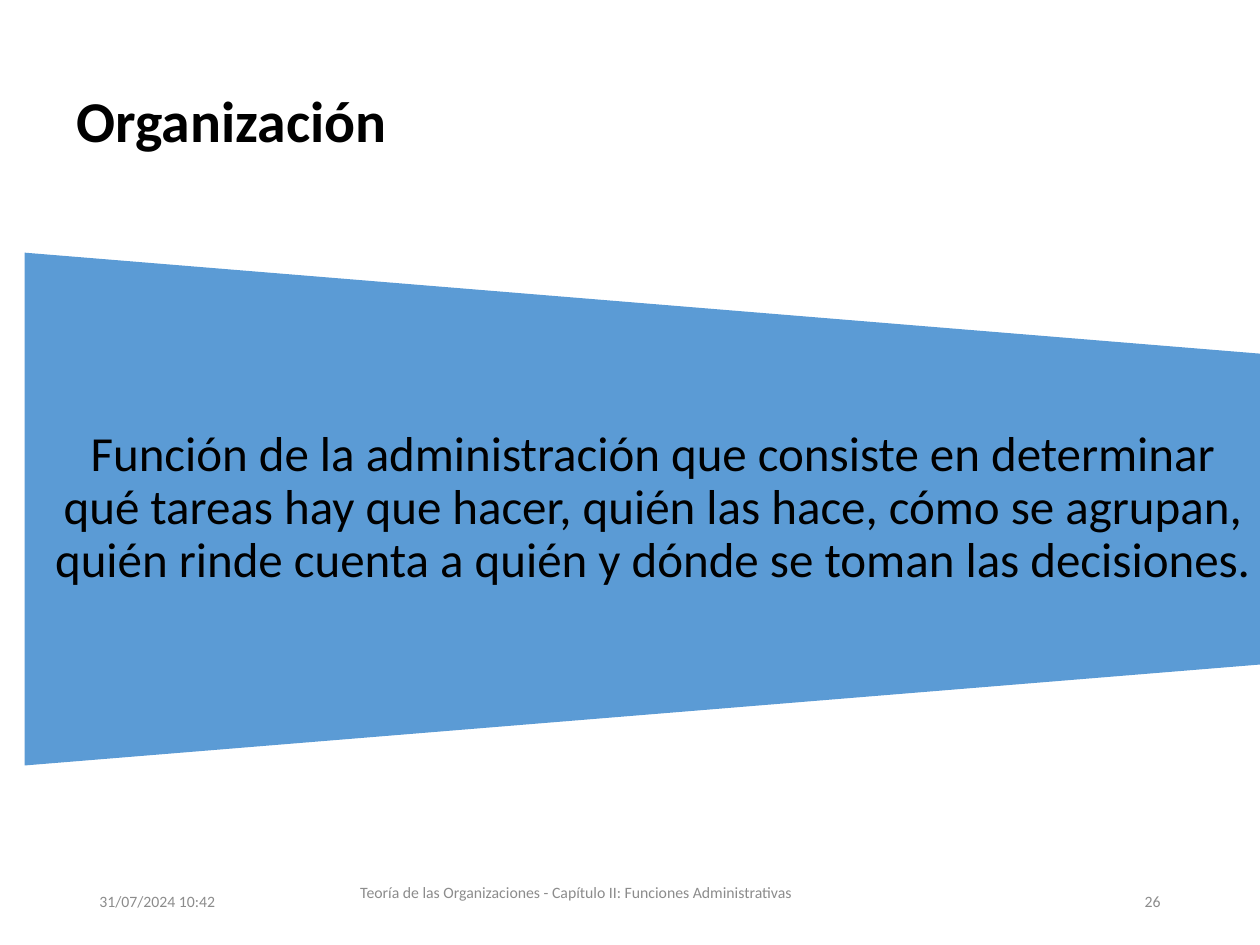
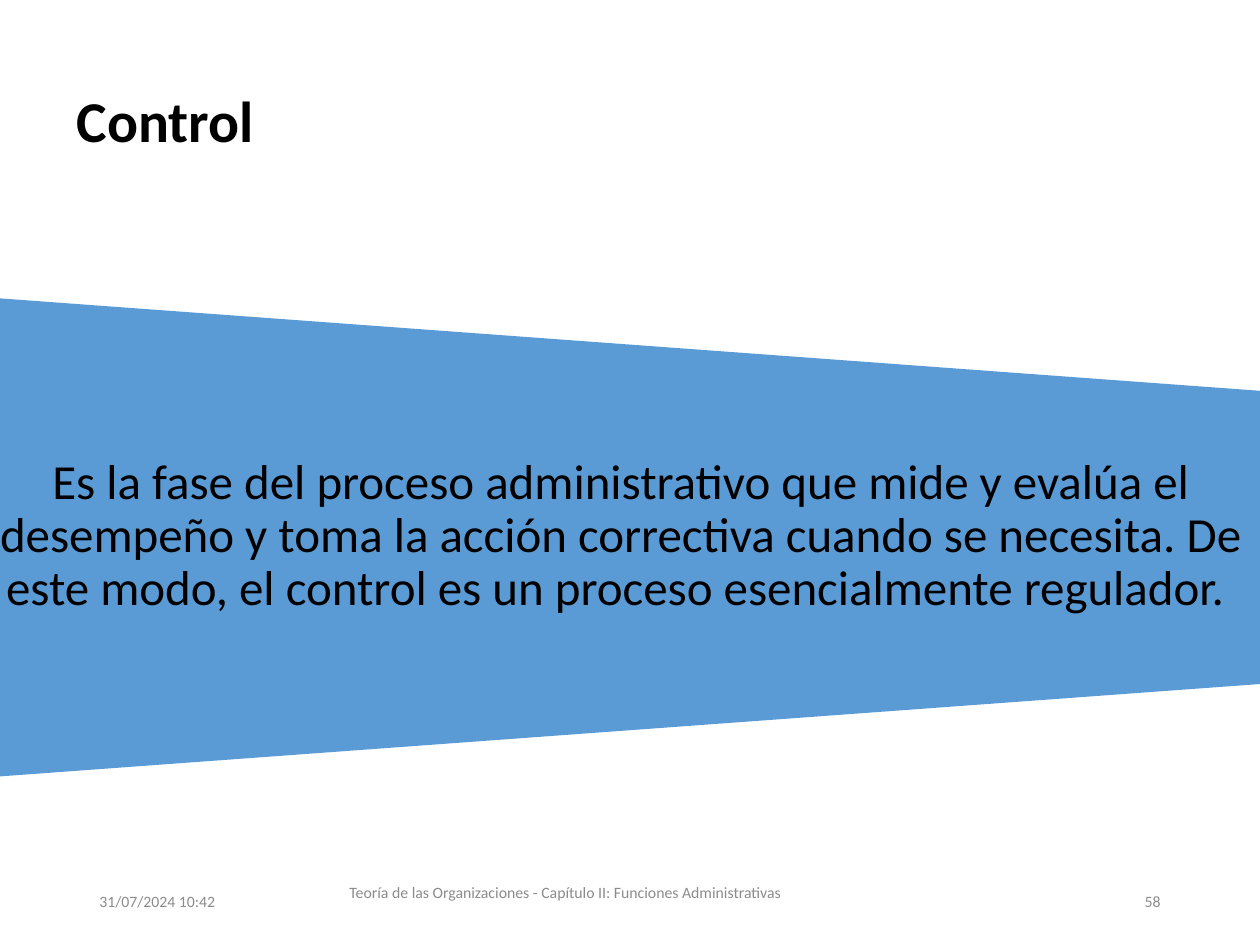
"""Build two definition slides on management functions."""
from dataclasses import dataclass

from pptx import Presentation
from pptx.dml.color import RGBColor
from pptx.enum.shapes import MSO_SHAPE
from pptx.enum.text import MSO_ANCHOR, PP_ALIGN
from pptx.slide import Slide
from pptx.util import Emu, Pt

BLACK = RGBColor(0x00, 0x00, 0x00)
GRAY = RGBColor(0x8C, 0x8C, 0x8C)
BLUE = RGBColor(0x5B, 0x9B, 0xD5)
LEFT, CENTER, RIGHT = PP_ALIGN.LEFT, PP_ALIGN.CENTER, PP_ALIGN.RIGHT
MIDDLE = MSO_ANCHOR.MIDDLE
FUNNEL = MSO_SHAPE.FLOWCHART_MANUAL_OPERATION
FONT = "Calibri"
SCALE = 9144
BLANK = 6
DATE = "31/07/2024 10:42"
COURSE = "Teoría de las Organizaciones - Capítulo II: Funciones Administrativas"


@dataclass(frozen=True)
class Box:
    """Hold a place on the slide in px."""
    left: int
    top: int
    width: int
    height: int

    def emu(self) -> tuple[Emu, Emu, Emu, Emu]:
        """Return the place in EMU."""
        return px(self.left), px(self.top), px(self.width), px(self.height)


@dataclass(frozen=True)
class Style:
    """Describe the look of a text."""
    size: int
    color: RGBColor
    align: PP_ALIGN = LEFT
    bold: bool = False
    line: float = 1.0
    side: int = 10
    edge: int = 5


@dataclass(frozen=True)
class Page:
    """Hold what differs from slide to slide."""
    title: str
    body: str
    number: str
    band: Box
    course: Box


TITLE = Style(33, BLACK, bold=True, line=0.9)
BODY = Style(28, BLACK, CENTER, line=0.9, side=19, edge=0)
NOTE = Style(9, GRAY)
NOTE_MID = Style(9, GRAY, CENTER)
NOTE_END = Style(9, GRAY, RIGHT)

TITLE_BOX = Box(51, 36, 900, 125)
DATE_BOX = Box(69, 695, 225, 40)
PAGE_BOX = Box(706, 695, 225, 40)

PAGES = (
    Page(
        "Organización",
        "Función de la administración que consiste en determinar qué tareas "
        "hay que hacer, quién las hace, cómo se agrupan, quién rinde cuenta "
        "a quién y dónde se toman las decisiones.",
        "26", Box(20, 200, 996, 407), Box(203, 683, 508, 50),
    ),
    Page(
        "Control",
        "Es la fase del proceso administrativo que mide y evalúa el desempeño "
        "y toma la acción correctiva cuando se necesita. De este modo, el "
        "control es un proceso esencialmente regulador. ",
        "58", Box(-31, 234, 1047, 384), Box(187, 683, 523, 50),
    ),
)


def px(length: int) -> Emu:
    """Turn px into EMU."""
    return Emu(length * SCALE)


def add_text(slide: Slide, text: str, box: Box, style: Style) -> None:
    """Draw one paragraph of text, centred in height."""
    frame = slide.shapes.add_textbox(*box.emu()).text_frame
    frame.word_wrap = True
    frame.vertical_anchor = MIDDLE
    frame.margin_left = frame.margin_right = px(style.side)
    frame.margin_top = frame.margin_bottom = px(style.edge)
    frame.text = text
    para = frame.paragraphs[0]
    para.alignment = style.align
    para.line_spacing = style.line
    font = para.runs[0].font
    font.name = FONT
    font.size = Pt(style.size)
    font.bold = style.bold
    font.color.rgb = style.color


def add_band(slide: Slide, text: str, band: Box) -> None:
    """Draw the turned funnel with its text in the middle three fifths."""
    shift = (band.width - band.height) // 2
    turned = Box(band.left + shift, band.top - shift, band.height, band.width)
    shape = slide.shapes.add_shape(FUNNEL, *turned.emu())
    shape.rotation = 270
    shape.shadow.inherit = False
    shape.fill.solid()
    shape.fill.fore_color.rgb = BLUE
    shape.line.fill.background()
    fifth = round(band.height / 5)
    inner = Box(band.left, band.top + fifth, band.width, band.height - 2 * fifth)
    add_text(slide, text, inner, BODY)


def add_page(slide: Slide, page: Page) -> None:
    """Draw the title, band and footers of one slide."""
    add_text(slide, page.title, TITLE_BOX, TITLE)
    add_band(slide, page.body, page.band)
    add_text(slide, DATE, DATE_BOX, NOTE)
    add_text(slide, COURSE, page.course, NOTE_MID)
    add_text(slide, page.number, PAGE_BOX, NOTE_END)


def main() -> None:
    """Build and save the deck."""
    deck = Presentation()
    deck.slide_width, deck.slide_height = px(1000), px(750)
    for page in PAGES:
        add_page(deck.slides.add_slide(deck.slide_layouts[BLANK]), page)
    deck.save("out.pptx")


if __name__ == "__main__":
    main()
